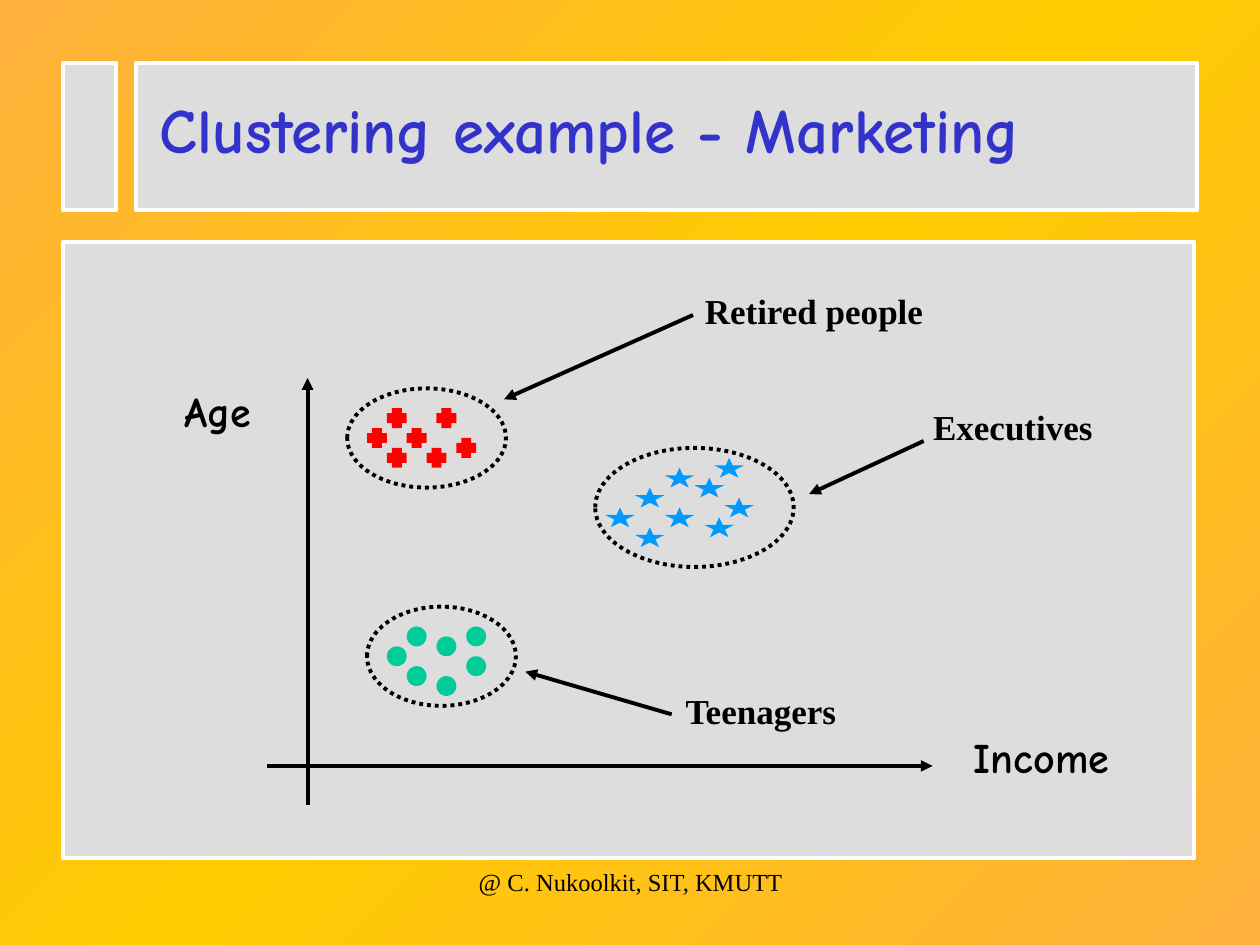
import copy

import pptx
import pptx.util
import pptx.dml.color
import pptx.enum.dml
import pptx.enum.shapes
import pptx.enum.text
import pptx.oxml.ns

Cm, Pt = pptx.util.Cm, pptx.util.Pt
SHAPE = pptx.enum.shapes.MSO_SHAPE
ALIGN = pptx.enum.text.PP_ALIGN

COLORS = {"edge": "FFB03D", "middle": "FFCC00", "panel": "DDDDDD", "border": "FFFFFF",
          "title": "3333CC", "ink": "000000", "retired": "FF0000",
          "executives": "0099FF", "teenagers": "00CC99"}
LINE_WIDTH = 2.25
GRID = 0.2  # cm between neighbouring marker positions

# Boxes are left, top, width, height in cm
PANELS = [(1.27, 4.88, 22.81, 12.42), (2.74, 1.27, 21.39, 2.97), (1.27, 1.27, 1.07, 2.97)]
TITLE = ("Clustering example - Marketing", (2.97, 1.7, 20.96, 1.78))

# Start x, start y, end x, end y in cm, with the arrowhead at the end
AXES = [(6.2, 16.23, 6.2, 7.62), (5.38, 15.44, 18.8, 15.44)]
POINTERS = [(13.97, 6.35, 10.16, 8.05), (18.62, 8.89, 16.31, 9.96),
            (13.54, 14.4, 10.59, 13.54)]

# Marker positions are counted in grid steps from the origin
CLUSTERS = [
    {"color": "retired", "marker": SHAPE.CROSS, "size": (0.4, 0.4), "origin": (7.4, 8.23),
     "outline": (7, 7.83, 3.2, 2),
     "steps": [(2, 0), (0, 2), (4, 2), (2, 4), (6, 4), (7, 0), (9, 3)]},
    {"color": "teenagers", "marker": SHAPE.OVAL, "size": (0.4, 0.4), "origin": (7.8, 12.63),
     "outline": (7.4, 12.23, 3, 2),
     "steps": [(5, 1), (2, 0), (8, 3), (2, 4), (5, 5), (8, 0), (0, 2)]},
    {"color": "executives", "marker": SHAPE.STAR_5_POINT, "size": (0.6, 0.4),
     "origin": (12.2, 9.23), "outline": (12, 9.03, 4, 2.4),
     "steps": [(9, 2), (3, 3), (6, 1), (0, 5), (12, 4), (11, 0), (6, 5), (10, 6), (3, 7)]},
]

# Text, box, font, size, bold
LABELS = [
    ("Age", (3, 7.65, 2.79, 1.27), "Comic Neue", 24, True),
    ("Income", (19, 14.63, 3.99, 1.27), "Comic Neue", 24, True),
    ("Retired people", (13.77, 5.72, 5.28, 1.12), "Times New Roman", 20, True),
    ("Executives", (17.78, 8.05, 5.28, 1.12), "Times New Roman", 20, True),
    ("Teenagers", (12.7, 13.77, 5.28, 1.12), "Times New Roman", 20, True),
    ("@ C. Nukoolkit, SIT, KMUTT", (8.69, 17.35, 8.05, 1.27), "Times New Roman", 14, False),
]


def rgb(name):
    return pptx.dml.color.RGBColor.from_string(COLORS[name])


def lengths(values):
    return [Cm(value) for value in values]


def paint_background(slide):
    fill = slide.background.fill
    fill.gradient()
    stop_list = slide.element.find(".//" + pptx.oxml.ns.qn("a:gsLst"))
    stop_list.insert(1, copy.deepcopy(stop_list[0]))
    for stop, position, name in zip(fill.gradient_stops, (0, 0.5, 1),
                                    ("edge", "middle", "edge")):
        stop.position = position
        stop.color.rgb = rgb(name)
    fill.gradient_angle = 135


def add_figure(slide, kind, box, fill=None, line=None):
    figure = slide.shapes.add_shape(kind, *lengths(box))
    figure.shadow.inherit = False
    if fill:
        figure.fill.solid()
        figure.fill.fore_color.rgb = rgb(fill)
    else:
        figure.fill.background()
    if line:
        figure.line.color.rgb = rgb(line)
        figure.line.width = Pt(LINE_WIDTH)
    else:
        figure.line.fill.background()
    return figure


def add_arrow(slide, ends):
    arrow = slide.shapes.add_connector(pptx.enum.shapes.MSO_CONNECTOR.STRAIGHT, *lengths(ends))
    arrow.line.color.rgb = rgb("ink")
    arrow.line.width = Pt(LINE_WIDTH)
    head = pptx.oxml.parse_xml(
        f'<a:tailEnd {pptx.oxml.ns.nsdecls("a")} type="triangle"/>')
    arrow.line._get_or_add_ln().append(head)
    arrow.element.spPr.append(
        pptx.oxml.parse_xml(f'<a:effectLst {pptx.oxml.ns.nsdecls("a")}/>'))


def write_text(box, text, font, size, bold, color, align):
    frame = box.text_frame
    frame.text = text
    frame.word_wrap = True
    frame.auto_size = pptx.enum.text.MSO_AUTO_SIZE.NONE
    frame.vertical_anchor = pptx.enum.text.MSO_ANCHOR.TOP
    para = frame.paragraphs[0]
    para.alignment = align
    para.space_before = Pt(0)
    span = para.runs[0]
    span.font.name = font
    span.font.size = Pt(size)
    span.font.bold = bold
    span.font.color.rgb = rgb(color)


def add_title(slide):
    text, box = TITLE
    title = slide.shapes.title
    title.left, title.top, title.width, title.height = lengths(box)
    write_text(title, text, "Comic Neue", 36, True, "title", ALIGN.LEFT)
    # Bring the title in front of the panels
    slide.shapes.element.append(title.element)


def add_cluster(slide, cluster):
    left, top = cluster["origin"]
    for column, row in cluster["steps"]:
        box = (left + column * GRID, top + row * GRID, *cluster["size"])
        add_figure(slide, cluster["marker"], box, fill=cluster["color"])
    outline = add_figure(slide, SHAPE.OVAL, cluster["outline"], line="ink")
    outline.line.dash_style = pptx.enum.dml.MSO_LINE.ROUND_DOT


def main():
    deck = pptx.Presentation()
    deck.slide_width, deck.slide_height = Cm(25.4), Cm(19.05)
    slide = deck.slides.add_slide(deck.slide_layouts[5])
    paint_background(slide)
    for panel in PANELS:
        add_figure(slide, SHAPE.RECTANGLE, panel, fill="panel", line="border")
    add_title(slide)
    for ends in AXES + POINTERS:
        add_arrow(slide, ends)
    for cluster in CLUSTERS:
        add_cluster(slide, cluster)
    for text, box, font, size, bold in LABELS:
        label = slide.shapes.add_textbox(*lengths(box))
        write_text(label, text, font, size, bold, "ink", ALIGN.CENTER)
    deck.save("out.pptx")


if __name__ == "__main__":
    main()
